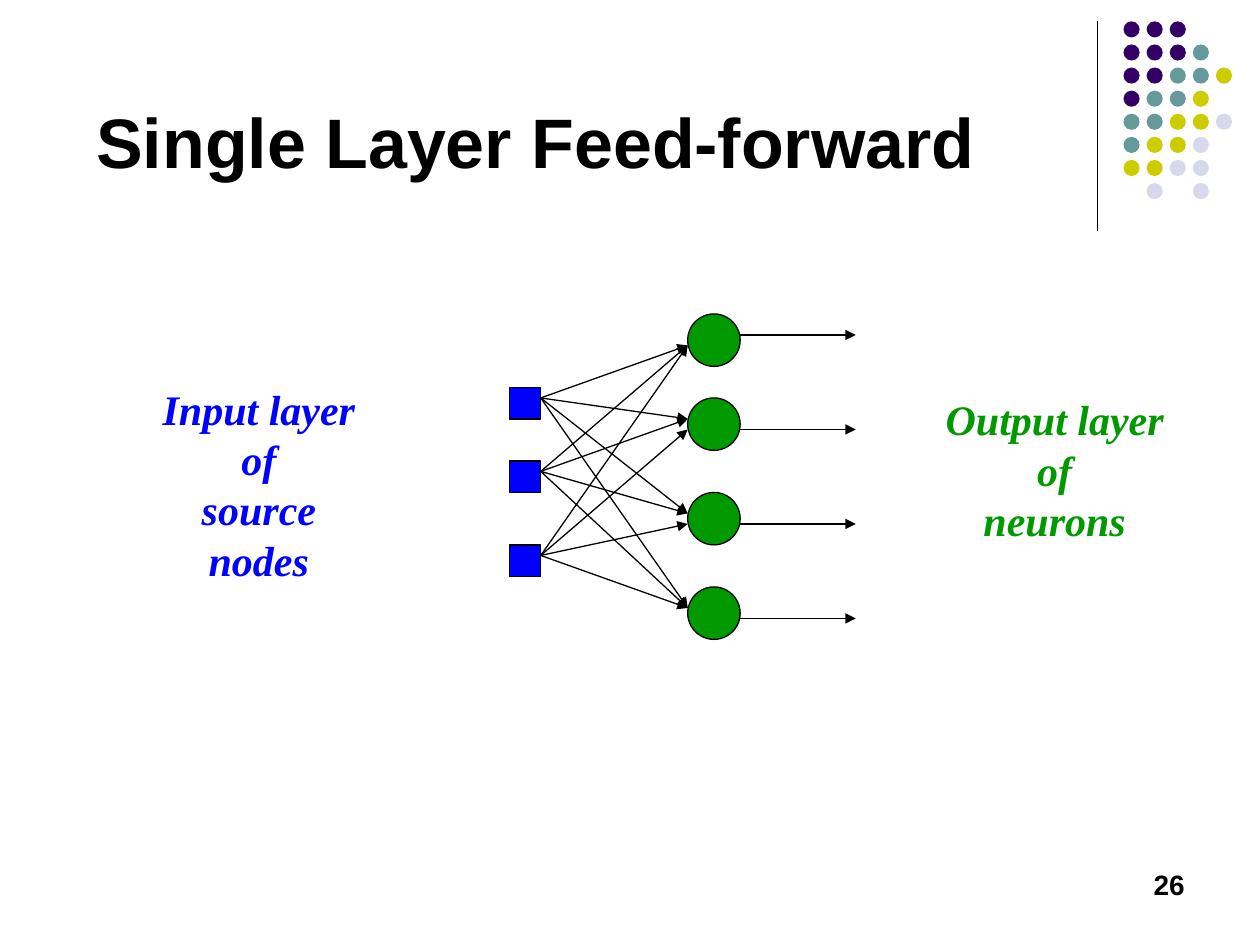
"""Build the single layer feed-forward network slide."""
from dataclasses import dataclass

from lxml import etree
from pptx import Presentation
from pptx.dml.color import RGBColor
from pptx.enum.shapes import MSO_CONNECTOR, MSO_SHAPE
from pptx.enum.text import MSO_ANCHOR, PP_ALIGN
from pptx.oxml.ns import qn
from pptx.util import Pt

OVAL, RECT = MSO_SHAPE.OVAL, MSO_SHAPE.RECTANGLE
LINE = MSO_CONNECTOR.STRAIGHT
LEFT, MID, RIGHT = PP_ALIGN.LEFT, PP_ALIGN.CENTER, PP_ALIGN.RIGHT
TOP, LOW = MSO_ANCHOR.TOP, MSO_ANCHOR.BOTTOM


@dataclass(frozen=True)
class Theme:
    """Hold the colours, fonts and sizes of the slide."""
    ink: str = "000000"
    blue: str = "0000FF"
    green: str = "009900"
    plum: str = "330066"
    teal: str = "669999"
    lime: str = "CCCC00"
    pale: str = "D8D8EC"
    sans: str = "Arial"
    serif: str = "Times New Roman"
    head: int = 40
    label: int = 24
    small: int = 16
    rule: float = 0.75


class Deck:
    """Draw styled elements on the current slide."""

    def __init__(self, prs, theme):
        """Add a blank slide and keep the theme."""
        self.theme = theme
        self.slide = prs.slides.add_slide(prs.slide_layouts[6])

    def shape(self, kind, x, y, size, fill, edge=True):
        """Add a filled preset shape of equal sides."""
        item = self.slide.shapes.add_shape(kind, Pt(x), Pt(y), Pt(size), Pt(size))
        item.shadow.inherit = False
        item.fill.solid()
        item.fill.fore_color.rgb = RGBColor.from_string(fill)
        if edge:
            item.line.color.rgb = RGBColor.from_string(self.theme.ink)
            item.line.width = Pt(self.theme.rule)
        else:
            item.line.fill.background()

    def line(self, x1, y1, x2, y2, arrow=True):
        """Add a straight line, with an arrowhead at its end if asked."""
        item = self.slide.shapes.add_connector(LINE, Pt(x1), Pt(y1), Pt(x2), Pt(y2))
        item.line.color.rgb = RGBColor.from_string(self.theme.ink)
        item.line.width = Pt(self.theme.rule)
        if arrow:
            etree.SubElement(item.line._get_or_add_ln(), qn("a:tailEnd"), type="triangle")
        etree.SubElement(item._element.spPr, qn("a:effectLst"))

    def text(self, box, lines, color, align=LEFT, anchor=TOP, wrap=True, **form):
        """Add a text box with one paragraph for each line."""
        frame = self.slide.shapes.add_textbox(*map(Pt, box)).text_frame
        frame.word_wrap = wrap
        frame.vertical_anchor = anchor
        frame.text = "\n".join(lines)
        for para in frame.paragraphs:
            para.alignment = align
            font = para.runs[0].font
            font.color.rgb = RGBColor.from_string(color)
            for key, value in form.items():
                setattr(font, key, value)


def dots(deck):
    """Draw the corner grid of dots."""
    theme = deck.theme
    tones = {"P": theme.plum, "T": theme.teal, "Y": theme.lime, "L": theme.pale}
    rows = ["PPP", "PPPT", "PPTTY", "PTTY", "TTYYL", "TYYL", "YYLL", " L L"]
    for row, marks in enumerate(rows):
        for col, mark in enumerate(marks):
            if mark in tones:
                deck.shape(OVAL, 642 + 13.2 * col, 12.2 + 13.2 * row, 9.2, tones[mark], False)


def network(deck):
    """Draw the source nodes, the neurons and their links."""
    theme = deck.theme
    inputs = [221.4, 263.4, 311.4]
    neurons = [179.4, 227.4, 281.4, 335.4]
    ports = [(18, 12, 12, 12), (18, 12, 12, 12), (18, 18, 18, 12)]
    for y in neurons:
        deck.shape(OVAL, 393, y, 30, theme.green)
    for y, drops in zip(inputs, ports):
        deck.shape(RECT, 291, y, 18, theme.blue)
        for end, drop in zip(neurons, drops):
            deck.line(309, y + 6, 393, end + drop)
    for y, drop in zip(neurons, (12, 18, 18, 18)):
        deck.line(423, y + drop, 489, y + drop)


def main():
    """Build and save the slide."""
    prs = Presentation()
    prs.slide_width, prs.slide_height = Pt(720), Pt(540)
    theme = Theme()
    deck = Deck(prs, theme)
    bold = {"name": theme.sans, "bold": True}
    label = {"name": theme.serif, "size": Pt(theme.label), "bold": True, "italic": True}
    deck.line(627, 12, 627, 132, False)
    dots(deck)
    deck.text((48, 30, 612, 78), ["Single Layer Feed-forward"], theme.ink,
              anchor=LOW, size=Pt(theme.head), **bold)
    deck.text((76.6, 215.4, 142.6, 93.6), ["Input layer", "of", "source nodes"],
              theme.blue, MID, wrap=False, **label)
    deck.text((533.2, 221.6, 139, 93.6), ["Output layer", "of", "neurons"],
              theme.green, MID, wrap=False, **label)
    network(deck)
    deck.text((516, 492, 168, 36), ["26"], theme.ink, RIGHT, size=Pt(theme.small), **bold)
    prs.save("out.pptx")


if __name__ == "__main__":
    main()
